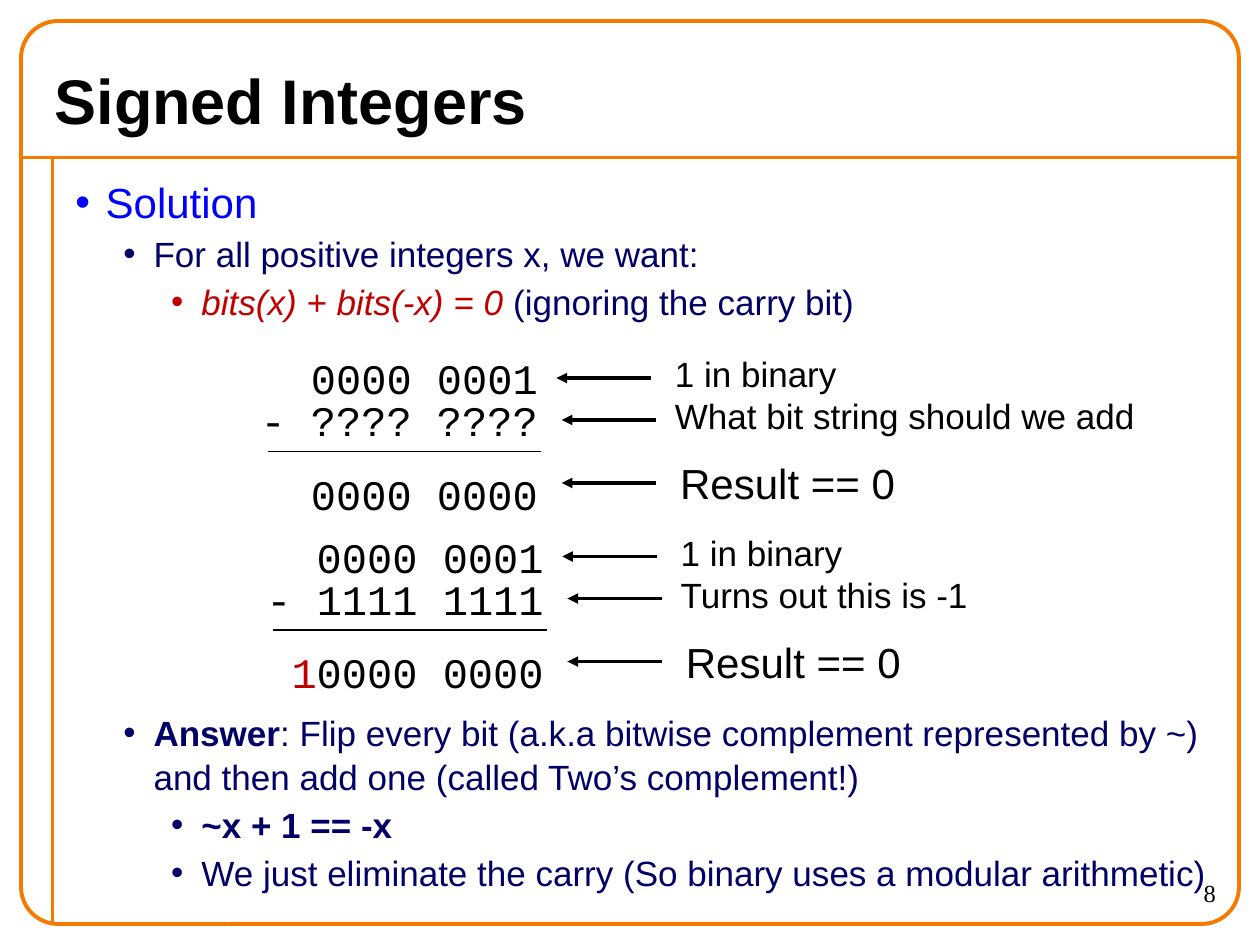
from lxml.etree import SubElement
from pptx import Presentation
from pptx.dml.color import RGBColor
from pptx.enum.shapes import MSO_CONNECTOR, MSO_SHAPE
from pptx.enum.text import MSO_ANCHOR, PP_ALIGN
from pptx.oxml.ns import qn
from pptx.util import Inches, Pt

BLACK = RGBColor(0x00, 0x00, 0x00)
ORANGE = RGBColor(0xF4, 0x7A, 0x00)
BLUE = RGBColor(0x00, 0x00, 0xFF)
NAVY = RGBColor(0x00, 0x00, 0x66)
RED = RGBColor(0xC0, 0x00, 0x00)

presentation = Presentation()
presentation.slide_width = Inches(10)
presentation.slide_height = Inches(7.5)
slide = presentation.slides.add_slide(presentation.slide_layouts[5])

# The slide is a grid of 120 columns by 90 rows with square cells.
CELL = presentation.slide_width // 120


def add_text(paragraph, text, size=20, color=BLACK, font="Arial", bold=False, italic=False):
    """Append a formatted run to a paragraph."""
    run = paragraph.add_run()
    run.text = text
    run.font.size = Pt(size)
    run.font.name = font
    run.font.bold = bold
    run.font.italic = italic
    run.font.color.rgb = color


def add_line(shapes, start, end, color=BLACK, width=2, arrow=False):
    """Draw a straight line between two grid points."""
    ends = [int(value * CELL) for value in (*start, *end)]
    line = shapes.add_connector(MSO_CONNECTOR.STRAIGHT, *ends)
    line.line.color.rgb = color
    line.line.width = Pt(width)
    properties = line._element.spPr
    if arrow:
        SubElement(properties.find(qn("a:ln")), qn("a:tailEnd"), type="triangle")
    SubElement(properties, qn("a:effectLst"))


# Frame
add_line(slide.shapes, (2, 15), (118, 15), color=ORANGE, width=2.25)
add_line(slide.shapes, (5, 15), (5, 88), color=ORANGE, width=2.25)
frame = slide.shapes.add_shape(
    MSO_SHAPE.ROUNDED_RECTANGLE, 2 * CELL, 2 * CELL, 116 * CELL, 86 * CELL)
frame.adjustments[0] = 0.041
frame.shadow.inherit = False
frame.fill.background()
frame.line.color.rgb = ORANGE
frame.line.width = Pt(2.25)

# Title and slide number
title = slide.shapes.title
title.left, title.top, title.width, title.height = 4 * CELL, 5 * CELL, 112 * CELL, 9 * CELL
title.text_frame.vertical_anchor = MSO_ANCHOR.MIDDLE
title.text_frame.paragraphs[0].alignment = PP_ALIGN.LEFT
add_text(title.text_frame.paragraphs[0], "Signed Integers", size=36, bold=True)

number = slide.shapes.add_textbox(105 * CELL, 83 * CELL, 12 * CELL, 5 * CELL)
number.text_frame.paragraphs[0].alignment = PP_ALIGN.RIGHT
add_text(number.text_frame.paragraphs[0], "8", size=14, font="Times New Roman")

# Bulleted text: (top row, height, [(level, [(text, format), ...]), ...])
navy = {"color": NAVY}
navy_bold = {"color": NAVY, "bold": True}
bullet_blocks = [
    (16, 16, [
        (0, [("Solution", {"color": BLUE, "size": 24})]),
        (1, [("For all positive integers x, we want:", navy)]),
        (2, [("bits(x) + bits(-x) = 0 ", {"color": RED, "italic": True}),
             ("(ignoring the carry bit)", navy)]),
    ]),
    (67, 19, [
        (1, [("Answer", navy_bold),
             (": Flip every bit (a.k.a bitwise complement represented by ~) "
              "and then add one (called Two’s complement!)", navy)]),
        (2, [("~x + 1 == -x", navy_bold)]),
        (2, [("We just eliminate the carry (So binary uses a modular arithmetic)", navy)]),
    ]),
]
INDENTS = [0.24, 0.62, 1.0]
for top, height, items in bullet_blocks:
    box = slide.shapes.add_textbox(6 * CELL, top * CELL, 111 * CELL, height * CELL)
    box.text_frame.word_wrap = True
    for index, (level, runs) in enumerate(items):
        paragraph = box.text_frame.add_paragraph() if index else box.text_frame.paragraphs[0]
        paragraph.level = level
        paragraph.line_spacing = 1.05
        paragraph.space_before = Pt(2 if index else 0)
        properties = paragraph._p.get_or_add_pPr()
        properties.set("marL", str(Inches(INDENTS[level])))
        properties.set("indent", str(-Inches(0.24)))
        bullet_color = SubElement(properties, qn("a:buClr"))
        SubElement(bullet_color, qn("a:srgbClr"), val=str(runs[0][1]["color"]))
        SubElement(properties, qn("a:buFont"), typeface="Arial")
        SubElement(properties, qn("a:buChar"), char="•")
        for text, style in runs:
            add_text(paragraph, text, **style)

# Worked sums: each has rows of (carry, bits, label)
sums = [
    [("", "0000 0001", "1 in binary"),
     ("", "- ???? ????", "What bit string should we add"),
     ("", "0000 0000", "Result == 0")],
    [("", "0000 0001", "1 in binary"),
     ("", "- 1111 1111", "Turns out this is -1"),
     ("1", "0000 0000", "Result == 0")],
]
# Bits row, label row, arrow row, arrow tip column, label column, label size
row_places = [(33, 33, 36, 53, 63.1, 20), (37, 37, 40, 53.5, 63.1, 20),
              (44, 43, 46, 53.5, 63.6, 24)]
for sum_index, sum_rows in enumerate(sums):
    across, down = 0.55 * sum_index, 17 * sum_index
    group = slide.shapes.add_group_shape()
    for (carry, bits, label), place in zip(sum_rows, row_places):
        bits_row, label_row, arrow_row, tip, label_column, label_size = place

        bits_box = group.shapes.add_textbox(
            int((22.4 + across) * CELL), (bits_row + down) * CELL, 30 * CELL, 6 * CELL)
        bits_paragraph = bits_box.text_frame.paragraphs[0]
        bits_paragraph.alignment = PP_ALIGN.RIGHT
        bits_box.text_frame.word_wrap = True
        if carry:
            add_text(bits_paragraph, carry, size=24, font="Courier New", color=RED)
        add_text(bits_paragraph, bits, size=24, font="Courier New")

        label_box = group.shapes.add_textbox(
            int((label_column + across) * CELL), (label_row + down) * CELL, 48 * CELL, 5 * CELL)
        label_box.text_frame.word_wrap = True
        add_text(label_box.text_frame.paragraphs[0], label, size=label_size)

        add_line(group.shapes, (tip + 9 + across, arrow_row + down),
                 (tip + across, arrow_row + down), arrow=True)
    add_line(group.shapes, (25.5 + across, 43 + down), (51.5 + across, 43 + down), width=0.75)

presentation.save("out.pptx")
